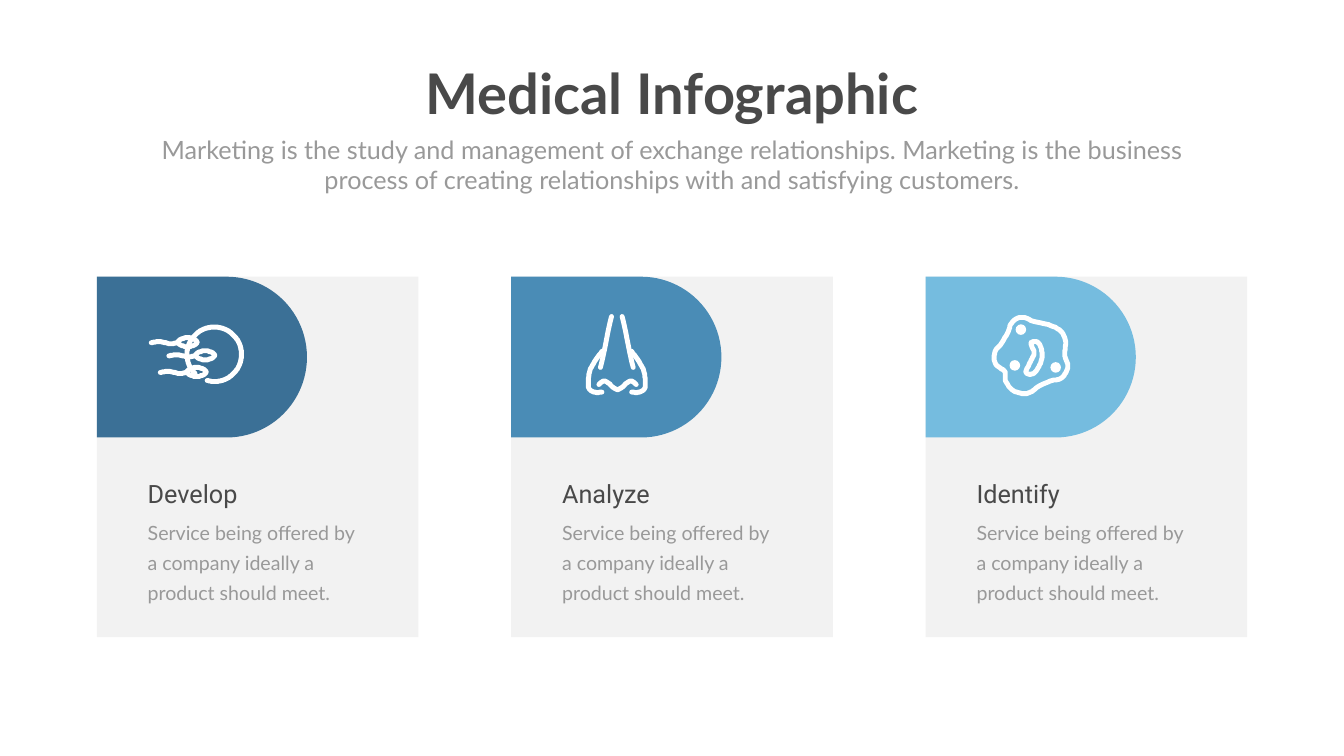
"""Build the Medical Infographic slide: a heading over three icon cards."""
from math import cos, pi, sin

from lxml.etree import SubElement
from pptx import Presentation
from pptx.dml.color import RGBColor
from pptx.enum.shapes import MSO_SHAPE as SHAPE
from pptx.enum.text import MSO_ANCHOR as ANCHOR, MSO_AUTO_SIZE as FIT, PP_ALIGN as ALIGN
from pptx.oxml.ns import qn
from pptx.util import Inches, Pt

DARK, GREY, WHITE = "494949", "999999", "FFFFFF"


def paint(fill, colour):
    fill.solid()
    fill.fore_color.rgb = RGBColor.from_string(colour)


def write(box, text, size, font="Lato", colour=GREY, bold=False, align=ALIGN.LEFT, spacing=None, wrap=True):
    frame = box.text_frame
    frame.text = text
    frame.word_wrap = wrap
    frame.auto_size = FIT.NONE
    frame.vertical_anchor = ANCHOR.TOP
    paragraph = frame.paragraphs[0]
    paragraph.alignment = align
    paragraph.space_before = Pt(0)
    paragraph.line_spacing = spacing
    paragraph.font.name = font
    paragraph.font.size = Pt(size)
    paragraph.font.bold = bold
    paint(paragraph.font.fill, colour)


deck = Presentation()
deck.slide_width, deck.slide_height = Inches(26.66), Inches(15)
col, row = deck.slide_width / 100, deck.slide_height / 100
slide = deck.slides.add_slide(deck.slide_layouts[0])
shapes = slide.shapes

heading, intro = slide.placeholders
for part, left, top, width, height in (
    (heading, 30.9, 7.47, 38.2, 9.67),
    (intro, 10.95, 17.4, 78.1, 8.73),
):
    part.left, part.top = int(left * col), int(top * row)
    part.width, part.height = int(width * col), int(height * row)
write(heading, "Medical Infographic", 80, colour=DARK, bold=True, align=ALIGN.CENTER, wrap=False)
write(intro, "Marketing is the study and management of exchange relationships. Marketing is the business "
      "process of creating relationships with and satisfying customers.", 36, align=ALIGN.CENTER)

egg = [(233 + 54 * cos(a * pi / 12), 154 + 54 * sin(a * pi / 12)) for a in range(-15, 8)]
head = [(196, 156), (202, 150), (215, 147), (228, 150), (234, 156), (228, 162), (215, 165), (202, 162)]
tail = [(143, 157), (158, 155), (171, 157), (181, 159), (195, 157)]
fertility = [(egg, False)]
for dx, dy in ((0, 0), (-35, -26), (-17, 33)):
    for outline, closed in ((head, True), (tail, False)):
        fertility.append(([(x + dx, y + dy) for x, y in outline], closed))

bridge = [(199, 79), (177, 180)]
wing = [(180, 148), (167, 166), (156, 187), (153, 208), (154, 221), (164, 229), (180, 229)]
nostrils = [(174, 214), (183, 207), (193, 211), (201, 219), (211, 224), (221, 219), (229, 211), (239, 207), (248, 214)]
nose = [(nostrils, False)]
for side in (bridge, wing):
    nose += [(side, False), ([(419 - x, y) for x, y in side], False)]

membrane = [(197, 81), (212, 88), (239, 94), (265, 105), (277, 125), (276, 152), (277, 161), (282, 176),
            (278, 191), (266, 203), (251, 206), (225, 217), (208, 229), (194, 232), (174, 226), (159, 208),
            (158, 192), (155, 186), (140, 175), (136, 161), (139, 146), (150, 133), (164, 109), (169, 94), (181, 83)]
nucleus = [(213, 129), (222, 130), (229, 141), (231, 161), (223, 181), (214, 192),
           (203, 193), (199, 187), (208, 169), (215, 151), (209, 134)]
cell = [(membrane, True), (nucleus, True)]
granules = [(258, 180), (189, 105), (177, 176)]

margin, card_width, tab_width = 7.2 * col, 23.93 * col, 15.64 * col
card_top, card_height, tab_height = 36.6 * row, 47.67 * row, 21.27 * row
pitch = (deck.slide_width - 2 * margin - card_width) / 2
dot, steps = Inches(0.01), 6

cards = (("Develop", "3B7096", fertility, []), ("Analyze", "4A8CB6", nose, []), ("Identify", "75BCDF", cell, granules))
for number, (topic, colour, strokes, spots) in enumerate(cards):
    left = margin + number * pitch

    panel = shapes.add_shape(SHAPE.RECTANGLE, int(left), int(card_top), int(card_width), int(card_height))
    paint(panel.fill, "808080")
    SubElement(panel._element.spPr.find(".//" + qn("a:srgbClr")), qn("a:alpha"), val="10000")

    turn = (tab_width - tab_height) / 2
    tab = shapes.add_shape(SHAPE.ROUND_2_SAME_RECTANGLE, int(left + turn), int(card_top - turn),
                           int(tab_height), int(tab_width))
    tab.rotation = 90
    tab.adjustments[0] = 0.5
    paint(tab.fill, colour)

    plain = [panel, tab]
    for x, y in spots:
        granule = shapes.add_shape(SHAPE.OVAL, int(left + (x - 10.5) * dot), int(card_top + (y - 10.5) * dot),
                                   21 * dot, 21 * dot)
        paint(granule.fill, WHITE)
        plain.append(granule)
    for shape in plain:
        shape.line.fill.background()
        shape.shadow.inherit = False

    for points, closed in strokes:
        knots = [points[-1], *points, *points[:2]] if closed else [points[0], *points, points[-1]]
        curve = []
        for a, b, c, d in zip(knots, knots[1:], knots[2:], knots[3:]):
            for t in (step / steps for step in range(steps)):
                curve.append([(2 * q + (r - p) * t + (2 * p - 5 * q + 4 * r - s) * t ** 2
                               + (3 * q - p - 3 * r + s) * t ** 3) / 2 for p, q, r, s in zip(a, b, c, d)])
        if not closed:
            curve.append(points[-1])
        builder = shapes.build_freeform(*curve[0], scale=dot)
        builder.add_line_segments(curve[1:], close=closed)
        stroke = builder.convert_to_shape(int(left), int(card_top))
        stroke.fill.background()
        stroke.shadow.inherit = False
        stroke.line.width = Pt(7)
        paint(stroke.line.fill, WHITE)
        outline = stroke._element.spPr.find(qn("a:ln"))
        outline.set("cap", "rnd")
        SubElement(outline, qn("a:round"))

    text_left = int(left + 3.42 * col)
    detail = shapes.add_textbox(text_left, int(67.73 * row), int(17.14 * col), int(12.4 * row))
    write(detail, "Service being offered by a company ideally a product should meet.", 28, spacing=Pt(43))
    label = shapes.add_textbox(text_left, int(63 * row), int(11.74 * col), int(4.73 * row))
    write(label, topic, 36, font="Roboto", colour=DARK)

deck.save("out.pptx")
